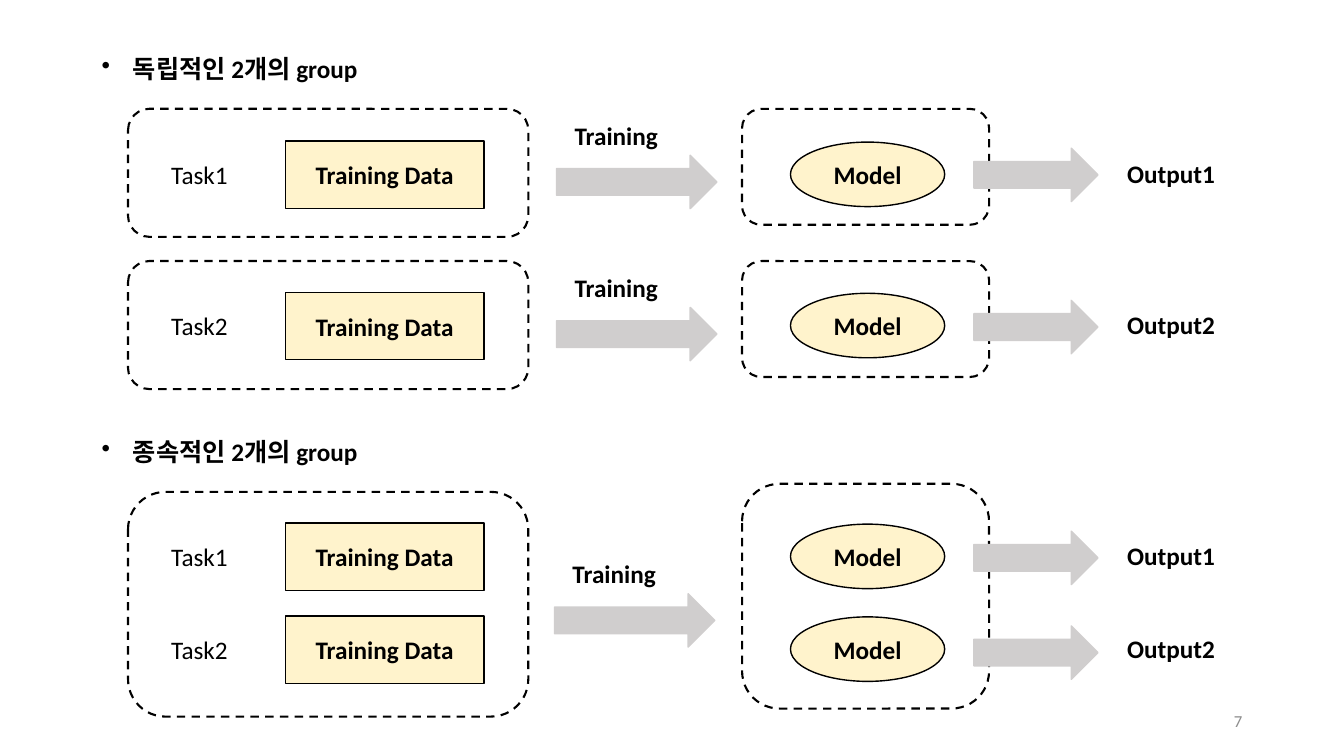
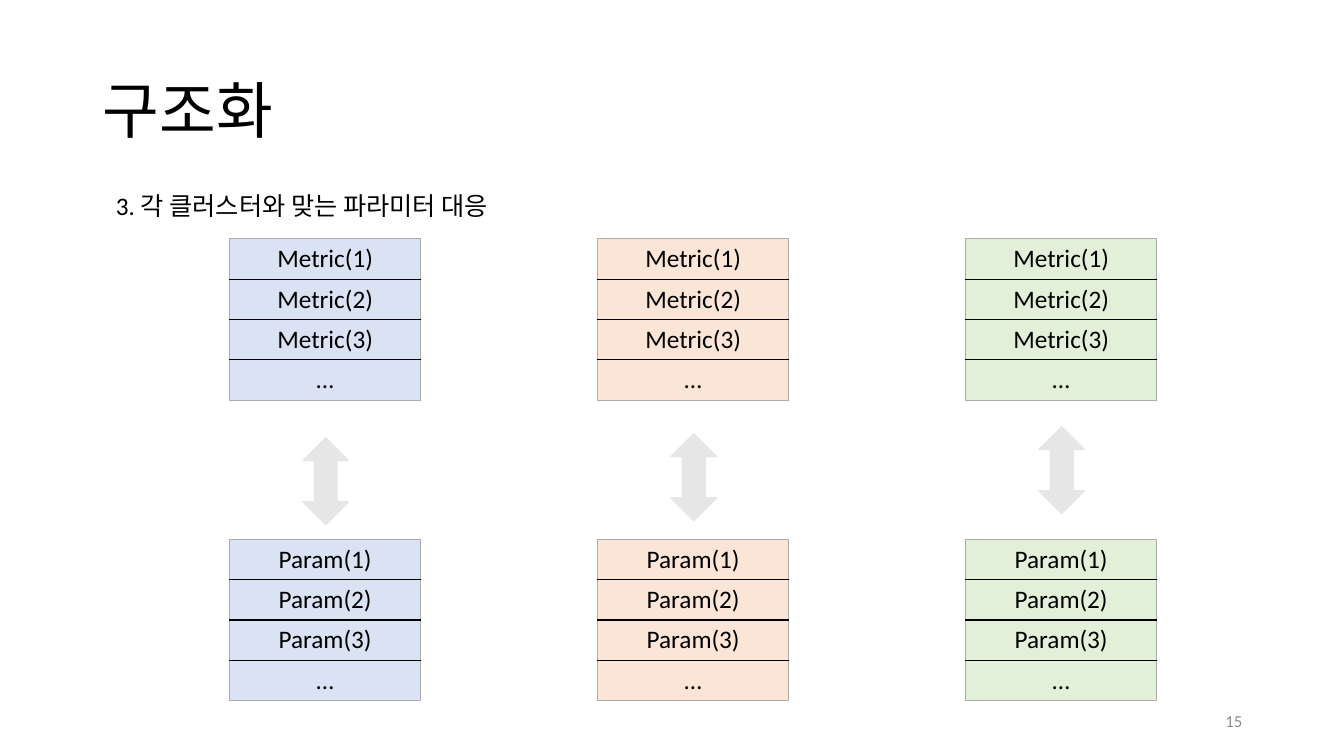
"""Build two slides on grouped tasks and their matching parameters."""
from dataclasses import dataclass

from lxml import etree
from pptx import Presentation
from pptx.dml.color import RGBColor
from pptx.enum.dml import MSO_LINE
from pptx.enum.shapes import MSO_SHAPE
from pptx.enum.text import MSO_ANCHOR, PP_ALIGN
from pptx.oxml.ns import qn
from pptx.shapes.autoshape import Shape
from pptx.shapes.shapetree import GroupShapes, SlideShapes
from pptx.slide import Slide
from pptx.text.text import TextFrame
from pptx.util import Emu, Pt

RECT, OVAL = MSO_SHAPE.RECTANGLE, MSO_SHAPE.OVAL
ROUND, ARROW = MSO_SHAPE.ROUNDED_RECTANGLE, MSO_SHAPE.RIGHT_ARROW
DOUBLE = MSO_SHAPE.LEFT_RIGHT_ARROW
DASH = MSO_LINE.DASH
LEFT, MID, RIGHT = PP_ALIGN.LEFT, PP_ALIGN.CENTER, PP_ALIGN.RIGHT
TOP, CENTER = MSO_ANCHOR.TOP, MSO_ANCHOR.MIDDLE

FONT = "Calibri"
BLACK, WHITE, CREAM = "000000", "FFFFFF", "FFF3CC"
GRAY, PALE, EDGE, FOOT = "D0CECE", "E7E6E6", "AFABAB", "8C8C8C"

Shapes = SlideShapes | GroupShapes
Box = tuple[int, int, int, int]


@dataclass(frozen=True)
class Lane:
    """One task, from its data to its output."""
    num: int
    top: int
    arrow: int


@dataclass(frozen=True)
class Band:
    """A data frame and a model frame joined by a training arrow."""
    data: tuple[int, int]
    model: tuple[int, int]
    arrow: tuple[int, int]
    lanes: tuple[Lane, ...]


@dataclass(frozen=True)
class Column:
    """A pair of tables with a double arrow between them."""
    left: int
    fill: str
    arrow: int


BANDS = (
    Band((108, 127), (108, 115), (552, 154), (Lane(1, 140, 147),)),
    Band((259, 127), (259, 115), (552, 305), (Lane(2, 290, 298),)),
    Band((488, 223), (480, 223), (550, 589),
         (Lane(1, 519, 527), Lane(2, 611, 621))),
)
HEADS = ((48, "독립적인 2개의 group"), (428, "종속적인 2개의 group"))
COLUMNS = tuple(
    Column(228 + 365 * i, fill, top)
    for i, (fill, top) in enumerate(
        (("DAE3F3", 455), ("FBE5D6", 451), ("E2F0D9", 444))))
TABLES = (("Metric", 237), ("Param", 535))


def px(num: int) -> Emu:
    """Turn px into EMU, at 100 px to the inch."""
    return Emu(num * 9144)


def paint(code: str) -> RGBColor:
    """Turn a hex string into a colour."""
    return RGBColor.from_string(code)


def write(frame: TextFrame, text: str, size: int = 18, color: str = BLACK,
          bold: bool = False, align: PP_ALIGN = LEFT) -> None:
    """Set the text of a frame and format its runs."""
    frame.text = text
    for para in frame.paragraphs:
        para.alignment = align
        for run in para.runs:
            run.font.name = FONT
            run.font.size = Pt(size)
            run.font.bold = bold
            run.font.color.rgb = paint(color)


def label(shapes: Shapes, box: Box, text: str, size: int = 18,
          color: str = BLACK, bold: bool = False, align: PP_ALIGN = LEFT,
          anchor: MSO_ANCHOR = TOP) -> TextFrame:
    """Add a text box."""
    frame = shapes.add_textbox(*map(px, box)).text_frame
    frame.word_wrap = True
    frame.vertical_anchor = anchor
    write(frame, text, size, color, bold, align)
    return frame


def draw(shapes: Shapes, kind: MSO_SHAPE, box: Box, fill: str,
         line: str, width: float = 1) -> Shape:
    """Add a filled and outlined preset shape."""
    shape = shapes.add_shape(kind, *map(px, box))
    shape.shadow.inherit = False
    shape.fill.solid()
    shape.fill.fore_color.rgb = paint(fill)
    shape.line.color.rgb = paint(line)
    shape.line.width = Pt(width)
    return shape


def node(shapes: Shapes, kind: MSO_SHAPE, box: Box, text: str) -> None:
    """Add a cream shape with bold centred text."""
    frame = draw(shapes, kind, box, CREAM, BLACK).text_frame
    frame.vertical_anchor = CENTER
    write(frame, text, bold=True, align=MID)


def head(shapes: Shapes, top: int, text: str) -> None:
    """Add a bold line with a bullet."""
    frame = label(shapes, (91, top, 618, 40), text, bold=True)
    props = frame.paragraphs[0]._p.get_or_add_pPr()
    props.set("marL", str(px(31)))
    props.set("indent", str(px(-31)))
    etree.SubElement(props, qn("a:buChar"), char="•")


def draw_lane(shapes: Shapes, lane: Lane) -> None:
    """Draw the data, model and output of one task."""
    top = lane.top
    label(shapes, (160, top + 13, 81, 40), f"Task{lane.num}")
    node(shapes, RECT, (283, top, 197, 67), "Training Data")
    node(shapes, OVAL, (784, top + 1, 153, 64), "Model")
    draw(shapes, ARROW, (966, lane.arrow, 123, 53), GRAY, GRAY)
    label(shapes, (1108, top + 12, 145, 40), f"Output{lane.num}", bold=True)


def draw_band(shapes: Shapes, band: Band) -> None:
    """Draw the two frames, the training arrow and the lanes."""
    for left, width, (top, height) in ((127, 397, band.data),
                                       (736, 245, band.model)):
        frame = draw(shapes, ROUND, (left, top, width, height),
                     WHITE, BLACK, 1.5)
        frame.line.dash_style = DASH
    left, top = band.arrow
    draw(shapes, ARROW, (left, top, 159, 53), GRAY, GRAY)
    label(shapes, (left + 8, top - 40, 134, 40), "Training", bold=True)
    for lane in band.lanes:
        draw_lane(shapes, lane)


def draw_table(shapes: Shapes, left: int, top: int, name: str,
               fill: str) -> None:
    """Add a one-column table of numbered names."""
    texts = [f"{name}({i})" for i in (1, 2, 3)] + ["…"]
    last = len(texts) - 1
    box = (left, top, 189, 40 * len(texts))
    table = shapes.add_table(len(texts), 1, *map(px, box)).table
    table.first_row = table.horz_banding = False
    for i, text in enumerate(texts):
        cell = table.cell(i, 0)
        cell.margin_top = cell.margin_bottom = px(4)
        cell.vertical_anchor = CENTER
        write(cell.text_frame, text, align=MID)
        sides = {"L": EDGE, "R": EDGE, "T": BLACK if i else EDGE,
                 "B": BLACK if i < last else EDGE}
        props = cell._tc.get_or_add_tcPr()
        for side, color in sides.items():
            line = etree.SubElement(props, qn(f"a:ln{side}"), w=str(Pt(1)))
            solid = etree.SubElement(line, qn("a:solidFill"))
            etree.SubElement(solid, qn("a:srgbClr"), val=color)
        cell.fill.solid()
        cell.fill.fore_color.rgb = paint(fill)


def foot(slide: Slide, num: int) -> None:
    """Add the slide number."""
    label(slide.shapes, (942, 695, 300, 40), str(num), 12, FOOT,
          align=RIGHT, anchor=CENTER)


def draw_groups(slide: Slide) -> None:
    """Draw the separate and the linked task groups."""
    for top, text in HEADS:
        head(slide.shapes, top, text)
    for band in BANDS:
        draw_band(slide.shapes.add_group_shape().shapes, band)
    foot(slide, 7)


def draw_match(slide: Slide) -> None:
    """Draw metrics matched to parameters."""
    shapes = slide.shapes
    title = label(shapes, (92, 40, 1150, 145), "구조화", 44, anchor=CENTER)
    title.paragraphs[0].line_spacing = 0.9
    step = label(shapes, (105, 154, 529, 62), "3. 각 클러스터와 맞는 파라미터 대응")
    step.paragraphs[0].line_spacing = 2.0
    for col in COLUMNS:
        for name, top in TABLES:
            draw_table(shapes, col.left, top, name, col.fill)
        arrow = draw(shapes, DOUBLE, (col.left + 52, col.arrow, 86, 45),
                     PALE, PALE)
        arrow.rotation = 90
    foot(slide, 15)


def main() -> None:
    """Build and save the slides."""
    deck = Presentation()
    deck.slide_width, deck.slide_height = px(1333), px(750)
    blank = deck.slide_layouts[6]
    for fill in (draw_groups, draw_match):
        fill(deck.slides.add_slide(blank))
    deck.save("out.pptx")


if __name__ == "__main__":
    main()
